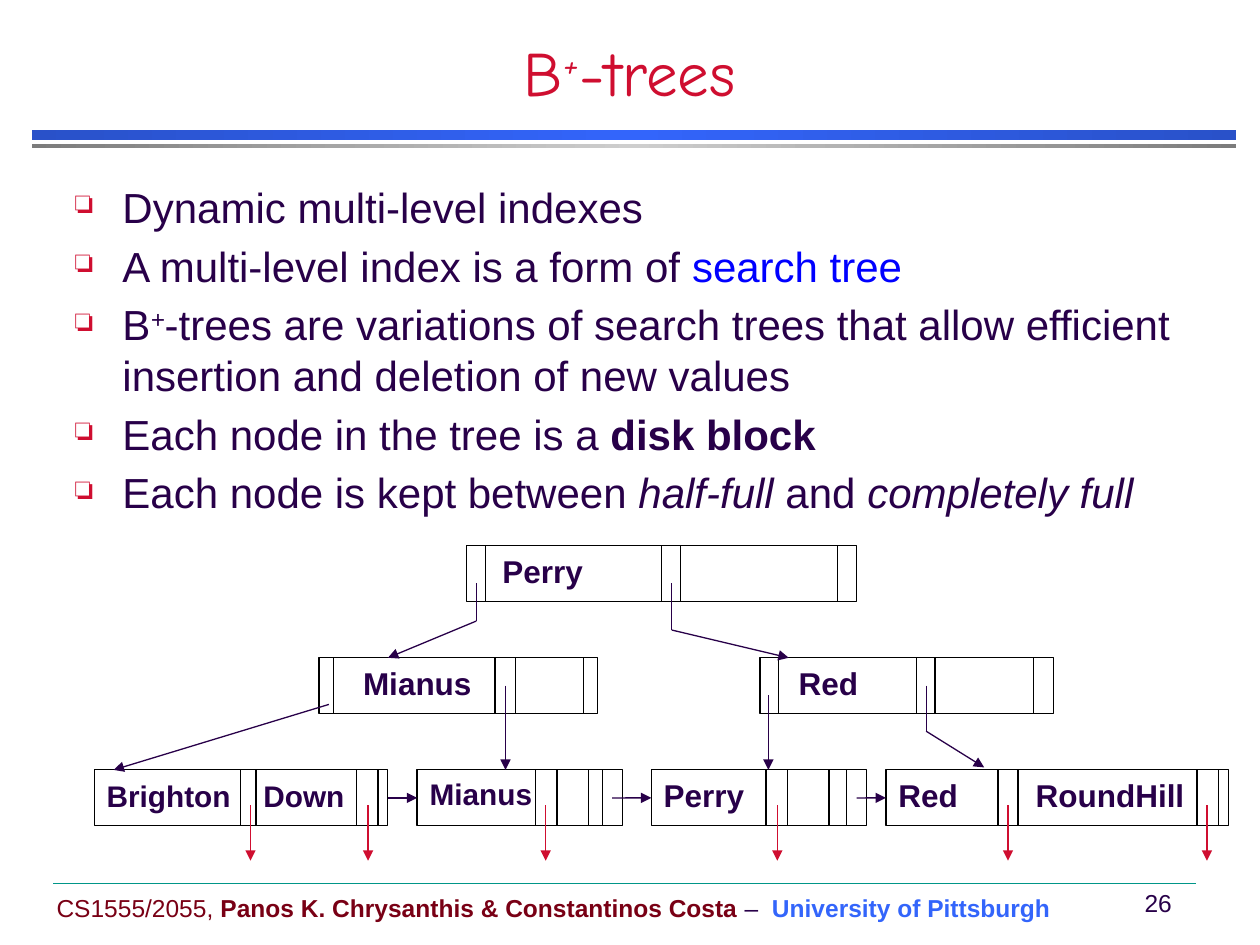
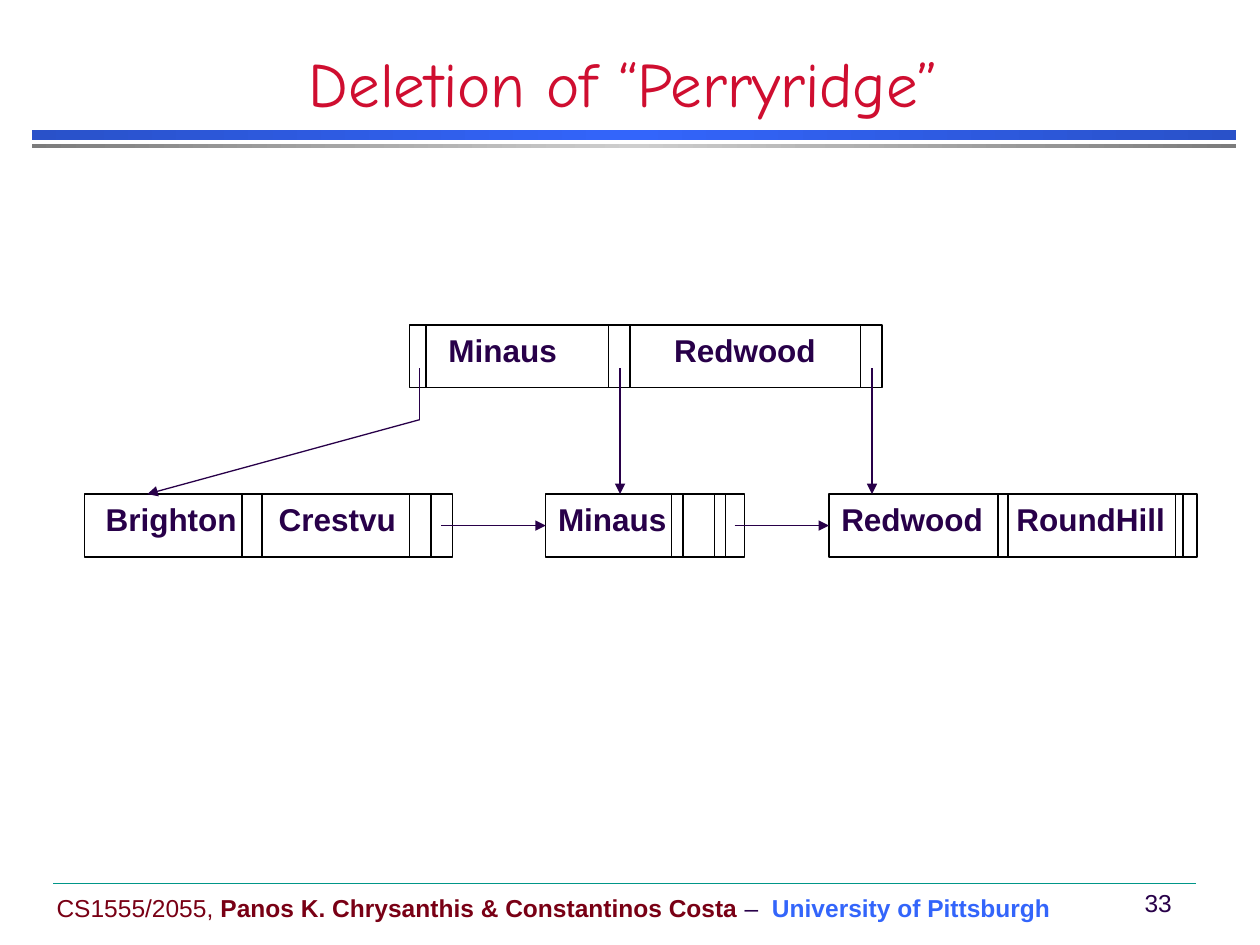
import copy

import pptx
import pptx.dml.color
import pptx.enum.shapes
import pptx.enum.text
import pptx.oxml.ns
import pptx.oxml.xmlchemy
import pptx.util
from lxml import etree

Cm = pptx.util.Cm
Pt = pptx.util.Pt
RGBColor = pptx.dml.color.RGBColor
qn = pptx.oxml.ns.qn
MSO_SHAPE = pptx.enum.shapes.MSO_SHAPE
ANCHOR = pptx.enum.text.MSO_ANCHOR
CENTER = pptx.enum.text.PP_ALIGN.CENTER
LEFT = pptx.enum.text.PP_ALIGN.LEFT

INK = RGBColor(0x28, 0x00, 0x49)
RED = RGBColor(0xCF, 0x0E, 0x30)
MAROON = RGBColor(0x79, 0x00, 0x15)
BLUE = RGBColor(0x33, 0x65, 0xFB)
DEEP_BLUE = RGBColor(0x29, 0x51, 0xC9)
LINK_BLUE = RGBColor(0x00, 0x00, 0xFF)
GREY = RGBColor(0x7C, 0x7C, 0x7C)
SILVER = RGBColor(0xCE, 0xCE, 0xCE)
TEAL = RGBColor(0x00, 0x96, 0x88)
BLACK = RGBColor(0x00, 0x00, 0x00)
WHITE = RGBColor(0xFF, 0xFF, 0xFF)

BODY_FONT = "Arial"
TITLE_FONT = "Comic Neue"

BANDS = [(2.62, 0.2, DEEP_BLUE, BLUE), (2.9, 0.08, GREY, SILVER)]
FOOTER = [
    ("CS1555/2055, ", {"color": MAROON}),
    ("Panos K. Chrysanthis & Constantinos Costa", {"color": MAROON, "bold": True}),
    (" –  ", {}),
    ("University of Pittsburgh", {"color": BLUE, "bold": True}),
]
SUPER = {"italic": True, "raised": True}

BULLETS = [
    [("Dynamic multi-level indexes", {})],
    [("A multi-level index is a form of ", {}), ("search tree", {"color": LINK_BLUE})],
    [("B", {}), ("+", SUPER),
     ("-trees are variations of search trees that allow efficient "
      "insertion and deletion of new values", {})],
    [("Each node in the tree is a ", {}), ("disk block", {"bold": True})],
    [("Each node is kept between ", {}), ("half-full", {"italic": True}),
     (" and ", {}), ("completely full", {"italic": True})],
]

# node: left, width, [(key, offset)], divider positions, key size
SLIDES = [
    {
        "number": "26",
        "title": [("B", {}), ("+", SUPER), ("-trees", {})],
        "title_box": (1.9, 0.43, 21.59, 1.9),
        "bullets": BULLETS,
        "node_height": 1.13,
        "levels": [
            (11.0, [(9.4, 7.87, [("Perry", 0.73)], (9.78, 13.34, 13.72, 16.89), 18)]),
            (13.26, [
                (6.43, 5.61, [("Mianus", 0.89)], (6.73, 9.98, 10.39, 11.76), 18),
                (15.32, 5.92, [("Red", 0.78)], (15.7, 18.47, 18.85, 20.83), 18),
            ]),
            (15.52, [
                (1.9, 5.92, [("Brighton", 0.25), ("Down", 3.41)],
                 (4.85, 5.16, 7.19, 7.62), 17),
                (8.41, 4.14, [("Mianus", 0.25)], (10.8, 11.23, 11.86, 12.14), 17),
                (13.13, 4.34, [("Perry", 0.25)], (15.44, 15.88, 16.71, 17.07), 18),
                (17.86, 6.91, [("Red", 0.25), ("RoundHill", 3.02)],
                 (20.12, 20.52, 24.13, 24.56), 18),
            ]),
        ],
        "child_pointers": [
            [(9.6, 11.76), (9.6, 12.52), (7.82, 13.26)],
            [(13.54, 11.76), (13.54, 12.7), (15.9, 13.26)],
            [(6.63, 14.2), (2.29, 15.52)],
            [(10.19, 13.82), (10.19, 15.52)],
            [(15.49, 14.02), (15.49, 15.52)],
            [(18.67, 13.82), (18.67, 14.74), (19.84, 15.47)],
        ],
        "chain_starts": [7.82, 12.34, 17.27],
        "record_pointers": [5.05, 7.42, 11.0, 15.67, 20.32, 24.33],
    },
    {
        "number": "33",
        "title": [("Deletion of “Perryridge”", {})],
        "title_box": (0, 1.07, 25.15, 1.47),
        "bullets": [],
        "node_height": 1.27,
        "levels": [
            (6.55, [(8.26, 9.52, [("Minaus", 0.78), ("Redwood", 5.33)],
                     (8.59, 12.27, 12.7, 17.35), 18)]),
            (9.96, [
                (1.7, 7.42, [("Brighton", 0.43), ("Crestvu", 3.92)],
                 (4.88, 5.28, 8.26, 8.69), 18),
                (11.0, 4.01, [("Minaus", 0.25)], (13.54, 13.77, 14.4, 14.63), 18),
                (16.71, 7.42, [("Redwood", 0.25), ("RoundHill", 3.78)],
                 (20.12, 20.32, 23.7, 23.85), 18),
            ]),
        ],
        "child_pointers": [
            [(8.46, 7.42), (8.46, 8.46), (2.97, 9.96)],
            [(12.5, 7.42), (12.5, 9.96)],
            [(17.58, 7.42), (17.58, 9.96)],
        ],
        "chain_starts": [8.89, 14.81],
        "record_pointers": [],
    },
]


def add_run(p, text, size, color=INK, font=BODY_FONT, bold=False, italic=False, raised=False):
    r = p.add_run()
    r.text = text
    r.font.name, r.font.size = font, Pt(size)
    r.font.bold, r.font.italic = bold, italic
    r.font.color.rgb = color
    if raised:
        r.font._element.set("baseline", "30000")


def add_text(s, box, runs, size, align=LEFT, anchor=ANCHOR.MIDDLE, **style):
    tf = s.shapes.add_textbox(*map(Cm, box)).text_frame
    tf.word_wrap = True
    tf.vertical_anchor = anchor
    p = tf.paragraphs[0]
    p.alignment = align
    for text, own in runs:
        add_run(p, text, size, **{**style, **own})


def add_rect(s, left, top, width, height):
    sp = s.shapes.add_shape(MSO_SHAPE.RECTANGLE, *map(Cm, (left, top, width, height)))
    sp.shadow.inherit = False
    return sp


def add_line(s, start, end, color, width=0.75, arrow=False):
    line = s.shapes.add_connector(
        pptx.enum.shapes.MSO_CONNECTOR.STRAIGHT, *map(Cm, (*start, *end)))
    line.line.color.rgb = color
    line.line.width = Pt(width)
    if arrow:
        etree.SubElement(line.line._get_or_add_ln(), qn("a:tailEnd"), type="triangle")
    etree.SubElement(line._element.spPr, qn("a:effectLst"))
    return line


def add_band(s, top, height, edge, middle):
    sp = add_rect(s, 0.64, top, 24.28, height)
    sp.line.fill.background()
    sp.fill.gradient()
    sp.fill.gradient_angle = 0
    stops = sp._element.spPr.find(".//" + qn("a:gsLst"))
    stops.append(copy.deepcopy(stops[0]))
    for stop, position, color in zip(sp.fill.gradient_stops, (0, 0.5, 1), (edge, middle, edge)):
        stop.position = position
        stop.color.rgb = color


def add_frame(s, slide):
    for band in BANDS:
        add_band(s, *band)
    add_text(s, (0.89, 17.88, 21.59, 0.84), FOOTER, 14)
    add_text(s, (22.7, 17.78, 1.3, 0.84), [(slide["number"], {})], 14, CENTER)
    add_line(s, (1.07, 17.81), (24.1, 17.81), TEAL, 0.25)
    add_text(s, slide["title_box"], slide["title"], 36, CENTER, ANCHOR.BOTTOM,
             color=RED, font=TITLE_FONT)


def add_bullets(s, bullets):
    tf = s.shapes.add_textbox(Cm(1.27), Cm(3.53), Cm(23.5), Cm(7.45)).text_frame
    tf.word_wrap = True
    for i, runs in enumerate(bullets):
        p = tf.add_paragraph() if i else tf.paragraphs[0]
        pPr = p._p.get_or_add_pPr()
        pPr.set("marL", str(Cm(0.95)))
        pPr.set("indent", str(-Cm(0.95)))
        if i:
            p.space_before = Pt(4.8)
        clr = etree.SubElement(pPr, qn("a:buClr"))
        etree.SubElement(clr, qn("a:srgbClr"), val=str(RED))
        etree.SubElement(pPr, qn("a:buSzPct"), val="75000")
        etree.SubElement(pPr, qn("a:buChar"), char="❏")
        for text, own in runs:
            add_run(p, text, 24, **own)


def add_node(s, top, height, left, width, keys, dividers, size):
    sp = add_rect(s, left, top, width, height)
    sp.fill.solid()
    sp.fill.fore_color.rgb = WHITE
    sp.line.color.rgb = BLACK
    sp.line.width = Pt(0.75)
    tf = sp.text_frame
    tf.word_wrap = True
    tf.vertical_anchor = ANCHOR.TOP
    first = keys[0][1]
    tf.margin_left = Cm(first)
    p = tf.paragraphs[0]
    p.alignment = LEFT
    if len(keys) > 1:
        tabs = etree.SubElement(p._p.get_or_add_pPr(), qn("a:tabLst"))
        for _, offset in keys[1:]:
            etree.SubElement(tabs, qn("a:tab"), pos=str(Cm(offset - first)), algn="l")
    for i, (key, _) in enumerate(keys):
        if i:
            add_run(p, "\t", 18, bold=True)
        add_run(p, key, size, bold=True)
    for x in dividers:
        add_line(s, (x, top), (x, top + height), BLACK)
    return sp


def add_tree(s, slide):
    height = slide["node_height"]
    for top, nodes in slide["levels"]:
        leaves = [add_node(s, top, height, *node) for node in nodes]
    for points in slide["child_pointers"]:
        for i in range(1, len(points)):
            add_line(s, points[i - 1], points[i], INK, arrow=i == len(points) - 1)
    middle = top + height / 2
    for i, x in enumerate(slide["chain_starts"]):
        link = add_line(s, (x, middle), (nodes[i + 1][0], middle), INK, arrow=True)
        if x >= nodes[i][0] + nodes[i][1]:
            link.begin_connect(leaves[i], 3)
        link.end_connect(leaves[i + 1], 1)
    for x in slide["record_pointers"]:
        add_line(s, (x, 16.23), (x, 17.35), RED, arrow=True)


def main():
    prs = pptx.Presentation()
    prs.slide_width, prs.slide_height = Cm(25.4), Cm(19.05)
    for slide in SLIDES:
        s = prs.slides.add_slide(prs.slide_layouts[6])
        add_frame(s, slide)
        if slide["bullets"]:
            add_bullets(s, slide["bullets"])
        add_tree(s, slide)
    prs.save("out.pptx")


if __name__ == "__main__":
    main()
